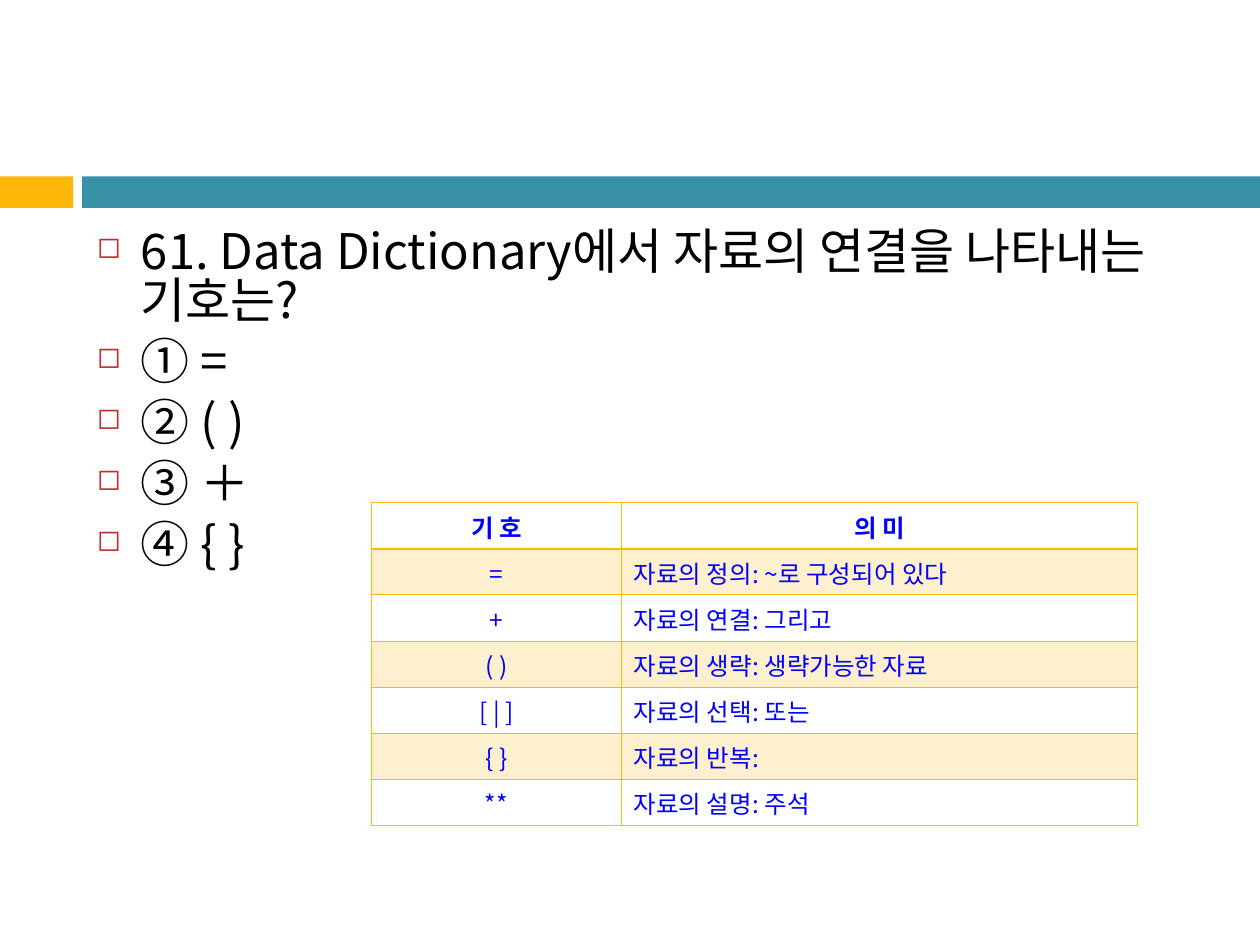
import dataclasses

import pptx
import pptx.dml.color
import pptx.enum.shapes
import pptx.enum.text
import pptx.oxml
import pptx.oxml.ns
import pptx.util
from pptx.util import Inches

qn = pptx.oxml.ns.qn


@dataclasses.dataclass(frozen=True)
class Theme:
    font: str = "Noto Sans CJK KR"
    amber: str = "FEB80A"
    teal: str = "3891A7"
    bullet: str = "C32D2E"
    body: str = "000000"
    answer: str = "0000FF"
    body_size: int = 28
    table_size: int = 14


THEME = Theme()
QUESTION = [
    "61. Data Dictionary에서 자료의 연결을 나타내는 기호는?",
    "① =",
    "② ( )",
    "③ ＋",
    "④ { }",
]
SYMBOLS = [
    ("기 호", "의 미"),
    ("=", "자료의 정의: ~로 구성되어 있다"),
    ("+", "자료의 연결: 그리고"),
    ("( )", "자료의 생략: 생략가능한 자료"),
    ("[ | ]", "자료의 선택: 또는"),
    ("{ }", "자료의 반복:"),
    ("**", "자료의 설명: 주석"),
]


def color(value):
    return pptx.dml.color.RGBColor.from_string(value)


def add_xml(parent, tag, body="", **attributes):
    listed = " ".join(f'{name}="{value}"' for name, value in attributes.items())
    element = pptx.oxml.parse_xml(
        f'<a:{tag} {pptx.oxml.ns.nsdecls("a")} {listed}>{body}</a:{tag}>'
    )
    parent.append(element)
    return element


def format_paragraph(para, size, ink, bold=False):
    for span in para.runs:
        span.font.size = pptx.util.Pt(size)
        span.font.bold = bold
        span.font.color.rgb = color(ink)
        span.font.name = THEME.font
        add_xml(span.font._element, "ea", typeface=THEME.font)


def add_band(page, left, top, width, height):
    tab = Inches(0.58)
    gap = Inches(0.07)
    parts = [
        (left, tab, THEME.amber),
        (left + tab + gap, width - tab - gap, THEME.teal),
    ]
    for start, length, fill in parts:
        bar = page.shapes.add_shape(
            pptx.enum.shapes.MSO_SHAPE.RECTANGLE, start, top, length, height
        )
        bar.shadow.inherit = False
        bar.fill.solid()
        bar.fill.fore_color.rgb = color(fill)
        bar.line.fill.background()


def add_question(page, left, top, width, height):
    box = page.shapes.add_textbox(left, top, width, height)
    frame = box.text_frame
    frame.word_wrap = True
    frame.margin_top = Inches(0.08)
    frame.text = "\n".join(QUESTION)
    for index, para in enumerate(frame.paragraphs):
        properties = para._p.get_or_add_pPr()
        properties.set("marL", str(Inches(0.35)))
        properties.set("indent", str(-Inches(0.35)))
        add_xml(properties, "buClr", f'<a:srgbClr val="{THEME.bullet}"/>')
        add_xml(properties, "buSzPct", val=60000)
        add_xml(properties, "buChar", char="◻")
        para.line_spacing = 0.83
        para.space_before = pptx.util.Pt(7 if index else 0)
        format_paragraph(para, THEME.body_size, THEME.body)


def add_borders(cell, widths):
    properties = cell._tc.get_or_add_tcPr()
    fill = f'<a:solidFill><a:srgbClr val="{THEME.amber}"/></a:solidFill>'
    for side, width in widths.items():
        add_xml(properties, f"ln{side}", fill, w=int(pptx.util.Pt(width)))


def fill_cell(cell, shaded):
    if not shaded:
        cell.fill.background()
        return
    cell.fill.solid()
    cell.fill.fore_color.rgb = color(THEME.amber)
    tint = cell._tc.tcPr.find(qn("a:solidFill")).find(qn("a:srgbClr"))
    add_xml(tint, "alpha", val=20000)


def add_symbol_table(page, left, top, width, height):
    table = page.shapes.add_table(len(SYMBOLS), 2, left, top, width, height).table
    table.horz_banding = False
    symbol_width = Inches(1.98)
    table.columns[0].width = symbol_width
    table.columns[1].width = width - symbol_width
    for row, texts in enumerate(SYMBOLS):
        table.rows[row].height = height // len(SYMBOLS)
        for column, text in enumerate(texts):
            cell = table.cell(row, column)
            cell.text_frame.text = text
            cell.vertical_anchor = pptx.enum.text.MSO_ANCHOR.MIDDLE
            para = cell.text_frame.paragraphs[0]
            if row == 0 or column == 0:
                para.alignment = pptx.enum.text.PP_ALIGN.CENTER
            format_paragraph(para, THEME.table_size, THEME.answer, row == 0)
            add_borders(cell, {
                "L": 0.45,
                "R": 0.45,
                "T": 0.96 if row == 1 else 0.45,
                "B": 0.96 if row == 0 else 0.45,
            })
            fill_cell(cell, row % 2 == 1)


def main():
    deck = pptx.Presentation()
    deck.slide_width = Inches(10)
    deck.slide_height = Inches(7.5)
    page = deck.slides.add_slide(deck.slide_layouts[6])
    add_band(page, 0, Inches(1.4), deck.slide_width, Inches(0.25))
    add_question(page, Inches(0.67), Inches(1.75), Inches(8.92), Inches(3.57))
    add_symbol_table(page, Inches(2.95), Inches(3.99), Inches(6.08), Inches(2.56))
    deck.save("out.pptx")


if __name__ == "__main__":
    main()
